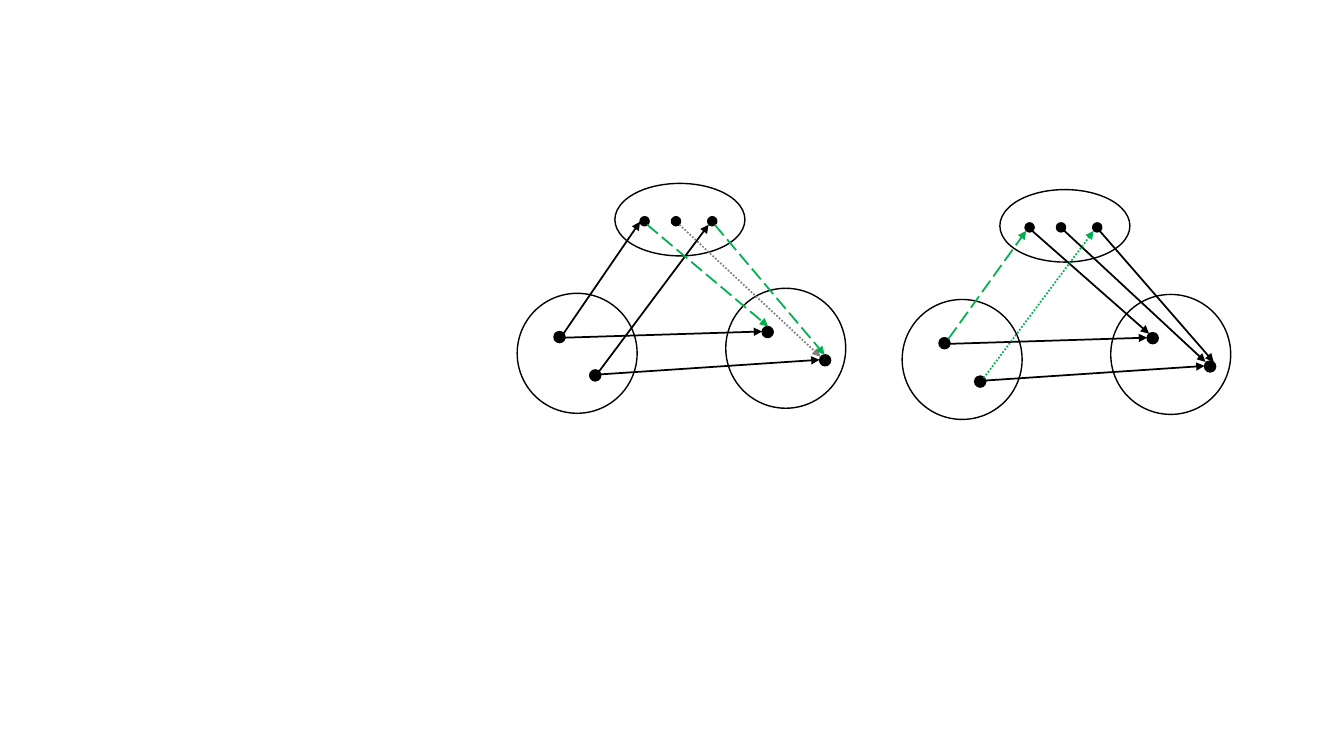
"""Build a slide with two linked three-set arrow diagrams."""
from dataclasses import dataclass

from lxml import etree
from pptx import Presentation
from pptx.dml.color import RGBColor
from pptx.enum.dml import MSO_LINE
from pptx.enum.shapes import MSO_CONNECTOR, MSO_SHAPE
from pptx.oxml.ns import qn
from pptx.util import Pt

OVAL = MSO_SHAPE.OVAL
STRAIGHT = MSO_CONNECTOR.STRAIGHT
DASHED = MSO_LINE.LONG_DASH
DOTTED = MSO_LINE.ROUND_DOT


@dataclass(frozen=True)
class Theme:
    ink: RGBColor = RGBColor(0x00, 0x00, 0x00)
    green: RGBColor = RGBColor(0x00, 0xB0, 0x50)
    gray: RGBColor = RGBColor(0x80, 0x80, 0x80)
    outline: float = 1
    arrow: float = 1.25


THEME = Theme()

SET_DIAMETER = 85.7
TOP_DOT = 6.5
SIDE_DOT = 7.9
SETS = [
    (69.8, 0, 92.9, 51.8),
    (0, 78.5, SET_DIAMETER, SET_DIAMETER),
    (149, 74.9, SET_DIAMETER, SET_DIAMETER),
]
DOTS = [(x, 23.8, TOP_DOT) for x in (87.8, 110.2, 136.1)] + [
    (26.3, 105.8, SIDE_DOT),
    (51.8, 133.2, SIDE_DOT),
    (175, 102.2, SIDE_DOT),
    (216, 122.4, SIDE_DOT),
]

SOLID_STYLE = (THEME.ink, None)
GREEN_DASHED = (THEME.green, DASHED)
GREEN_DOTTED = (THEME.green, DOTTED)
GRAY_DOTTED = (THEME.gray, DOTTED)

SIDE_ARROWS = [
    ((33.8, 110.2), (175, 105.8), SOLID_STYLE),
    ((59.8, 136.4), (216, 126), SOLID_STYLE),
]
LEFT_ARROWS = [
    ((33.1, 107.3), (87.8, 27.4), SOLID_STYLE),
    ((58.3, 134.6), (136.8, 29.5), SOLID_STYLE),
    ((115.9, 29.5), (216.7, 123.8), GRAY_DOTTED),
    ((92.9, 29.5), (179.3, 102.2), GREEN_DASHED),
    ((141.1, 29.5), (219.6, 122.4), GREEN_DASHED),
]
RIGHT_ARROWS = [
    ((92.9, 29.5), (176.4, 103), SOLID_STYLE),
    ((115.9, 29.5), (216.7, 123.1), SOLID_STYLE),
    ((33.1, 106.6), (88.6, 29.5), GREEN_DASHED),
    ((141.1, 29.5), (222.5, 123.1), SOLID_STYLE),
    ((58.3, 134.6), (136.8, 29.5), GREEN_DOTTED),
]
DIAGRAMS = [
    ((644.4, 135.4), RIGHT_ARROWS),
    ((369.4, 131), LEFT_ARROWS),
]


class DiagramPage:
    def __init__(self, page, theme):
        self.page = page
        self.theme = theme

    def ellipse(self, group, left, top, width, height, filled=False):
        shape = group.shapes.add_shape(OVAL, Pt(left), Pt(top), Pt(width), Pt(height))
        shape.shadow.inherit = False
        if filled:
            shape.fill.solid()
            shape.fill.fore_color.rgb = self.theme.ink
        else:
            shape.fill.background()
        shape.line.color.rgb = self.theme.ink
        shape.line.width = Pt(self.theme.outline)

    def arrow(self, group, start, end, color, dash):
        points = [Pt(value) for value in (*start, *end)]
        connector = group.shapes.add_connector(STRAIGHT, *points)
        line = connector.line
        line.color.rgb = color
        line.width = Pt(self.theme.arrow)
        if dash is not None:
            line.dash_style = dash
        properties = connector.element.spPr
        outline = properties.find(qn("a:ln"))
        etree.SubElement(outline, qn("a:tailEnd"), type="triangle")
        etree.SubElement(properties, qn("a:effectLst"))

    def diagram(self, origin, arrows):
        group = self.page.shapes.add_group_shape()
        x, y = origin
        for left, top, width, height in SETS:
            self.ellipse(group, x + left, y + top, width, height)
        for left, top, size in DOTS:
            self.ellipse(group, x + left, y + top, size, size, filled=True)
        for start, end, (color, dash) in SIDE_ARROWS + arrows:
            self.arrow(
                group,
                (x + start[0], y + start[1]),
                (x + end[0], y + end[1]),
                color,
                dash,
            )


def main():
    deck = Presentation()
    deck.slide_width, deck.slide_height = Pt(960), Pt(540)
    blank_layout = deck.slide_layouts[6]
    page = DiagramPage(deck.slides.add_slide(blank_layout), THEME)
    for origin, arrows in DIAGRAMS:
        page.diagram(origin, arrows)
    deck.save("out.pptx")


if __name__ == "__main__":
    main()
